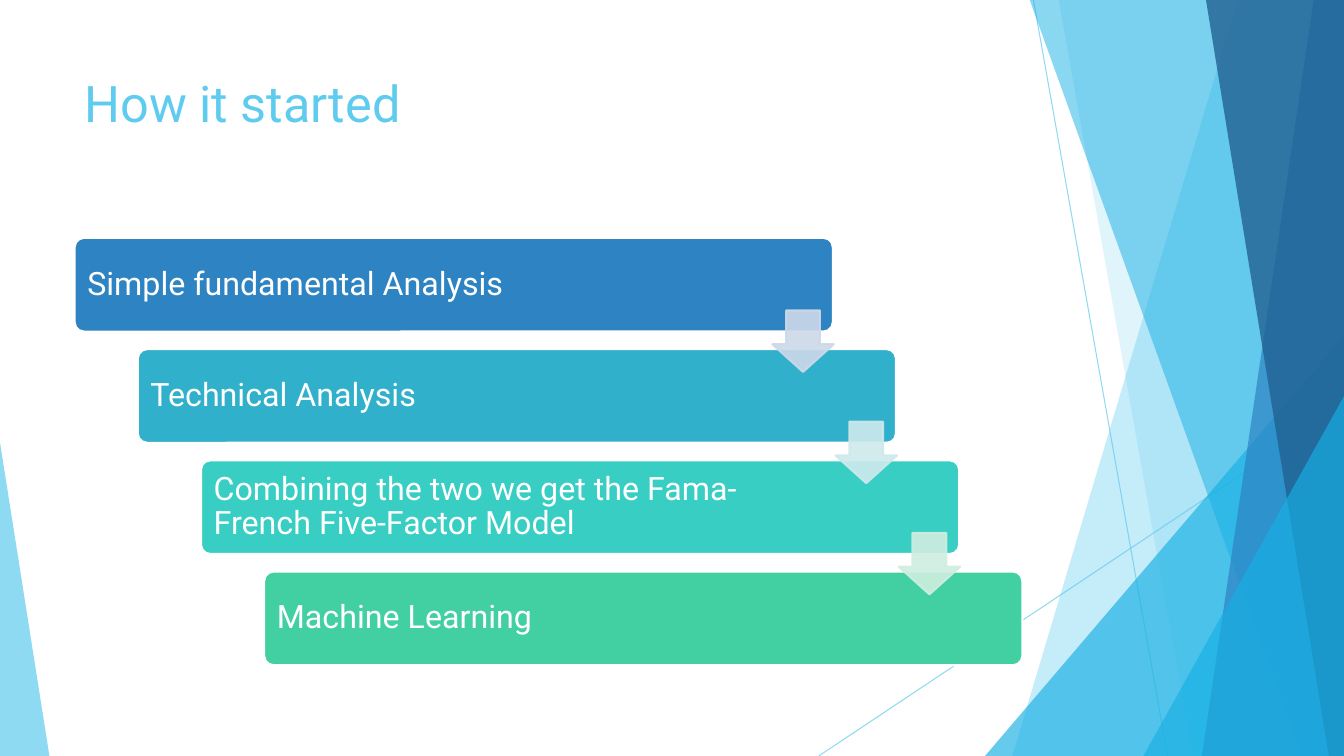
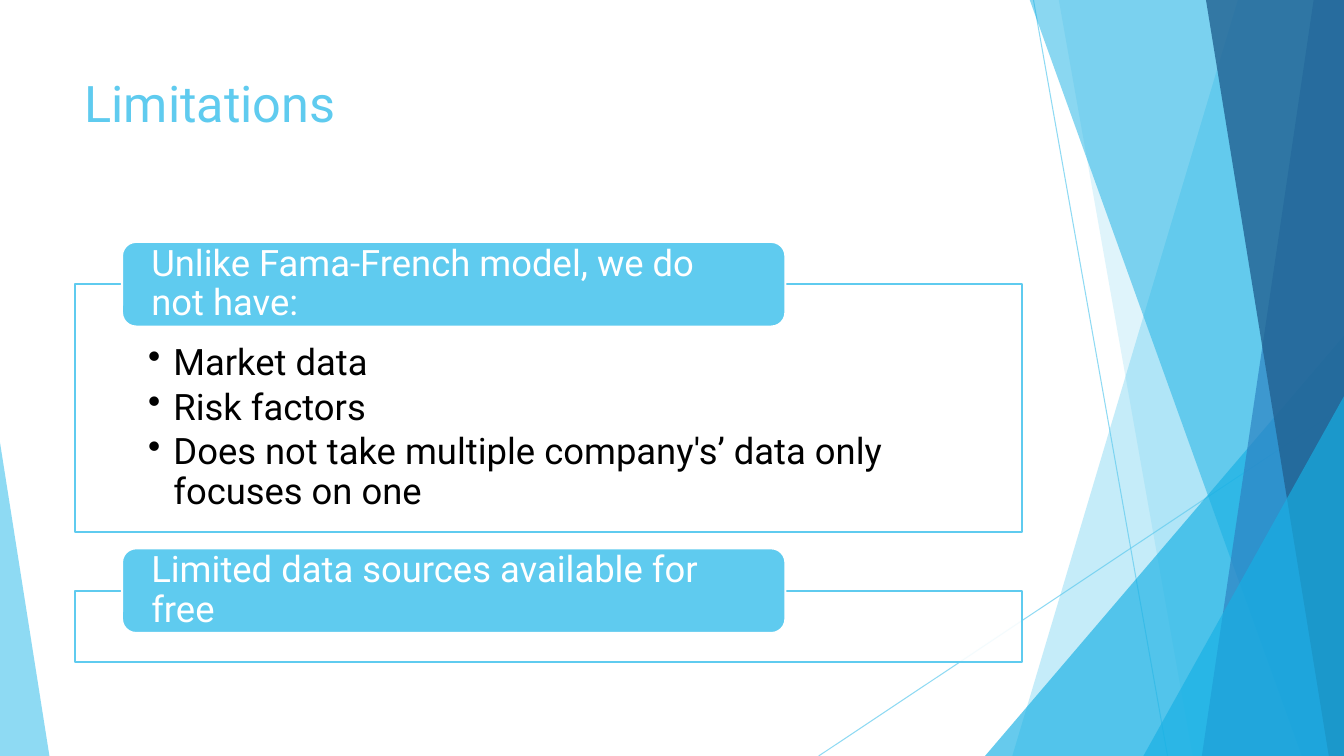
"""Build two slides on the history and limits of a market model."""
from lxml.etree import SubElement
from pptx import Presentation
from pptx.dml.color import RGBColor
from pptx.enum.shapes import MSO_CONNECTOR, MSO_SHAPE
from pptx.enum.text import MSO_ANCHOR, PP_ALIGN
from pptx.oxml.ns import qn
from pptx.util import Inches, Pt

WIDTH, HEIGHT = 13.33, 7.5
FONT = "Roboto"
SKY = RGBColor(0x5F, 0xCB, 0xEF)
AZURE = RGBColor(0x17, 0xB0, 0xE4)
BLUE = RGBColor(0x2E, 0x83, 0xC3)
NAVY = RGBColor(0x22, 0x62, 0x92)
TEAL = RGBColor(0x31, 0xB0, 0xCB)
TURQUOISE = RGBColor(0x39, 0xCE, 0xC4)
GREEN = RGBColor(0x42, 0xD0, 0xA2)
PALE_BLUE = RGBColor(0xCD, 0xD9, 0xE9)
PALE_TEAL = RGBColor(0xCE, 0xE9, 0xEC)
PALE_GREEN = RGBColor(0xCF, 0xEE, 0xE0)
WHITE = RGBColor(0xFF, 0xFF, 0xFF)
BLACK = RGBColor(0, 0, 0)

CONTENT_LEFT, CONTENT_WIDTH = 0.74, 9.4

STEPS = [
    ("Simple fundamental Analysis", BLUE),
    ("Technical Analysis", TEAL),
    ("Combining the two we get the Fama-French Five-Factor Model", TURQUOISE),
    ("Machine Learning", GREEN),
]
ARROW_COLOURS = [PALE_BLUE, PALE_TEAL, PALE_GREEN]
LIMITS = [
    (2.4, 2.88, "Unlike Fama-French model, we do not have:",
     ["Market data", "Risk factors",
      "Does not take multiple company's’ data only focuses on one"]),
    (5.44, 1.13, "Limited data sources available for free", []),
]


def set_opacity(shape, percent):
    """Make every colour set so far on a shape partly transparent."""
    for colour in shape._element.spPr.iter(qn("a:srgbClr")):
        SubElement(colour, qn("a:alpha")).set("val", str(percent * 1000))


def fill_plain(shape, colour, opacity=100):
    """Give a shape a flat fill without outline or shadow."""
    shape.shadow.inherit = False
    shape.fill.solid()
    shape.fill.fore_color.rgb = colour
    shape.line.fill.background()
    if opacity < 100:
        set_opacity(shape, opacity)


def add_block(page, kind, box, colour, opacity=100, outline=None):
    """Add a preset shape in a box of left, top, width and height."""
    shape = page.shapes.add_shape(kind, *map(Inches, box))
    fill_plain(shape, colour, opacity)
    if outline is not None:
        shape.line.color.rgb = outline
        shape.line.width = Pt(1.5)
    return shape


def set_insets(frame, left, top, right, bottom):
    """Wrap a text frame and set its inner margins."""
    frame.word_wrap = True
    frame.margin_left, frame.margin_top = Inches(left), Inches(top)
    frame.margin_right, frame.margin_bottom = Inches(right), Inches(bottom)


def style_paragraph(para, size, colour):
    """Left-align a paragraph and set its font."""
    para.alignment = PP_ALIGN.LEFT
    para.font.name = FONT
    para.font.size = Pt(size)
    para.font.color.rgb = colour


def write_label(shape, text, size, insets):
    """Write a white, vertically centred label in a shape."""
    frame = shape.text_frame
    set_insets(frame, *insets)
    frame.vertical_anchor = MSO_ANCHOR.MIDDLE
    para = frame.paragraphs[0]
    para.text = text
    para.line_spacing = 0.9
    style_paragraph(para, size, WHITE)


def add_thin_line(page, start, end):
    """Add a fine translucent line of the backdrop."""
    line = page.shapes.add_connector(
        MSO_CONNECTOR.STRAIGHT, *map(Inches, (*start, *end)))
    line.line.color.rgb = SKY
    line.line.width = Pt(0.75)
    set_opacity(line, 70)
    SubElement(line._element.spPr, qn("a:effectLst"))


def add_band(page, top_left, bottom_left, colour, opacity):
    """Add a full-height band reaching to the right edge of the page."""
    top = -0.01
    corners = [(WIDTH, top), (WIDTH, HEIGHT), (bottom_left, HEIGHT)]
    builder = page.shapes.build_freeform(Inches(top_left), Inches(top))
    builder.add_line_segments([(Inches(x), Inches(y)) for x, y in corners])
    fill_plain(builder.convert_to_shape(), colour, opacity)


def add_wedge(page, left, top, width, apex, colour, opacity):
    """Add a right-angled triangle standing on the bottom edge."""
    wedge = add_block(page, MSO_SHAPE.ISOSCELES_TRIANGLE,
                      (left, top, width, HEIGHT - top), colour, opacity)
    wedge.adjustments[0] = apex


def add_backdrop(page):
    """Draw the facets shared by all slides."""
    add_thin_line(page, (10.25, 0), (11.58, HEIGHT))
    add_thin_line(page, (WIDTH, 4.03), (8.12, HEIGHT))
    add_band(page, 12.28, 10.04, SKY, 36)
    add_band(page, 10.5, 11.83, SKY, 20)
    add_wedge(page, 9.77, 3.33, 3.56, 1, AZURE, 66)
    add_band(page, 10.21, 12.91, AZURE, 50)
    add_band(page, 13.03, 11.92, BLUE, 70)
    add_band(page, 11.96, 13.18, NAVY, 80)
    add_wedge(page, 11.34, 3.93, 1.99, 1, AZURE, 66)
    add_wedge(page, 0, 4.39, 0.49, 0, SKY, 70)


def add_page(deck, title):
    """Add a blank slide with the backdrop and a title."""
    page = deck.slides.add_slide(deck.slide_layouts[6])
    add_backdrop(page)
    box = page.shapes.add_textbox(
        *map(Inches, (CONTENT_LEFT, 0.67, CONTENT_WIDTH, 1.44)))
    set_insets(box.text_frame, 0.1, 0.05, 0.1, 0.05)
    para = box.text_frame.paragraphs[0]
    para.text = title
    style_paragraph(para, 36, SKY)
    return page


def add_staircase(page, left, top, width, height):
    """Draw the steps down a diagonal with arrows between them."""
    step_width, step_height, arrow_size = 7.52, 0.93, 0.61
    gaps = len(STEPS) - 1
    across = (width - step_width) / gaps
    down = (height - step_height) / gaps
    for index, (text, colour) in enumerate(STEPS):
        box = (left + index * across, top + index * down,
               step_width, step_height)
        step = add_block(page, MSO_SHAPE.ROUNDED_RECTANGLE, box, colour,
                         outline=WHITE)
        step.adjustments[0] = 0.1
        write_label(step, text, 23, (0.1, 0.1, 1.32, 0.1))
    for index, colour in enumerate(ARROW_COLOURS):
        box = (left + index * across + 6.92, top + index * down + 0.72,
               arrow_size, arrow_size)
        arrow = add_block(page, MSO_SHAPE.DOWN_ARROW, box, colour,
                          outline=colour)
        arrow.adjustments[0], arrow.adjustments[1] = 0.55, 0.45
        set_opacity(arrow, 90)


def write_bullets(shape, items):
    """Write a bulleted list in a panel."""
    frame = shape.text_frame
    set_insets(frame, 0.73, 0.59, 0.73, 0.2)
    frame.vertical_anchor = MSO_ANCHOR.TOP
    for index, item in enumerate(items):
        para = frame.add_paragraph() if index else frame.paragraphs[0]
        para.text = item
        para.line_spacing = 0.9
        para.space_after = Pt(4)
        properties = para._p.get_or_add_pPr()
        properties.set("marL", str(Inches(0.25)))
        properties.set("indent", str(-Inches(0.25)))
        SubElement(properties, qn("a:buChar")).set("char", "•")
        style_paragraph(para, 26, BLACK)


def add_limit(page, left, top, width, height, heading, items):
    """Draw an outlined panel with a heading tab over its top edge."""
    tab_height = 0.84
    panel = add_block(
        page, MSO_SHAPE.RECTANGLE,
        (left, top + tab_height / 2, width, height - tab_height / 2),
        WHITE, 90, SKY)
    if items:
        write_bullets(panel, items)
    tab = add_block(page, MSO_SHAPE.ROUNDED_RECTANGLE,
                    (left + 0.47, top, 0.7 * width, tab_height),
                    SKY, outline=WHITE)
    write_label(tab, heading, 26, (0.25, 0, 0.25, 0))


def main():
    """Build and save the deck."""
    deck = Presentation()
    deck.slide_width, deck.slide_height = Inches(WIDTH), Inches(HEIGHT)
    history = add_page(deck, "How it started")
    add_staircase(history, CONTENT_LEFT, 2.36, CONTENT_WIDTH, 4.24)
    limitations = add_page(deck, "Limitations")
    for top, height, heading, items in LIMITS:
        add_limit(limitations, CONTENT_LEFT, top, CONTENT_WIDTH, height,
                  heading, items)
    deck.save("out.pptx")


if __name__ == "__main__":
    main()
